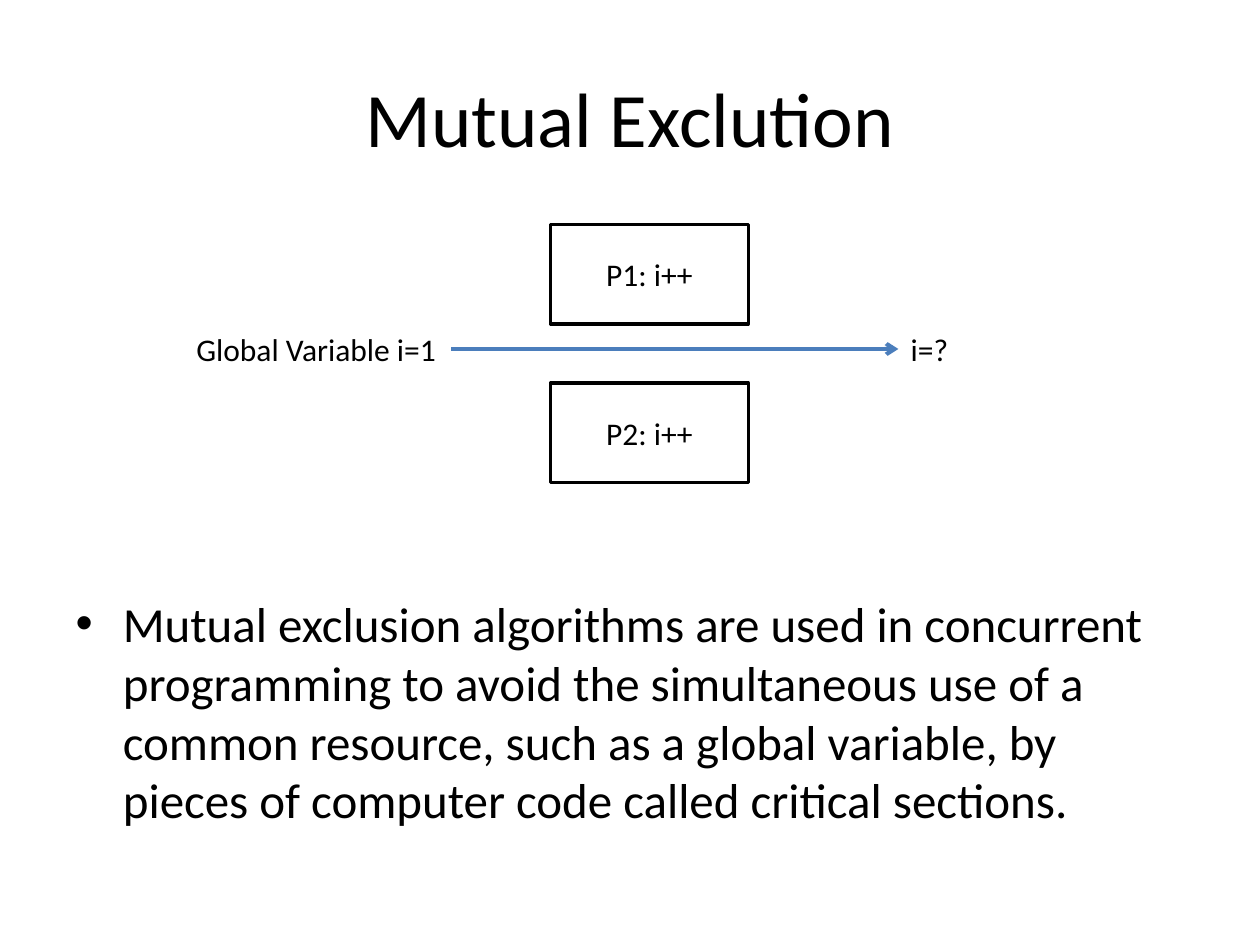
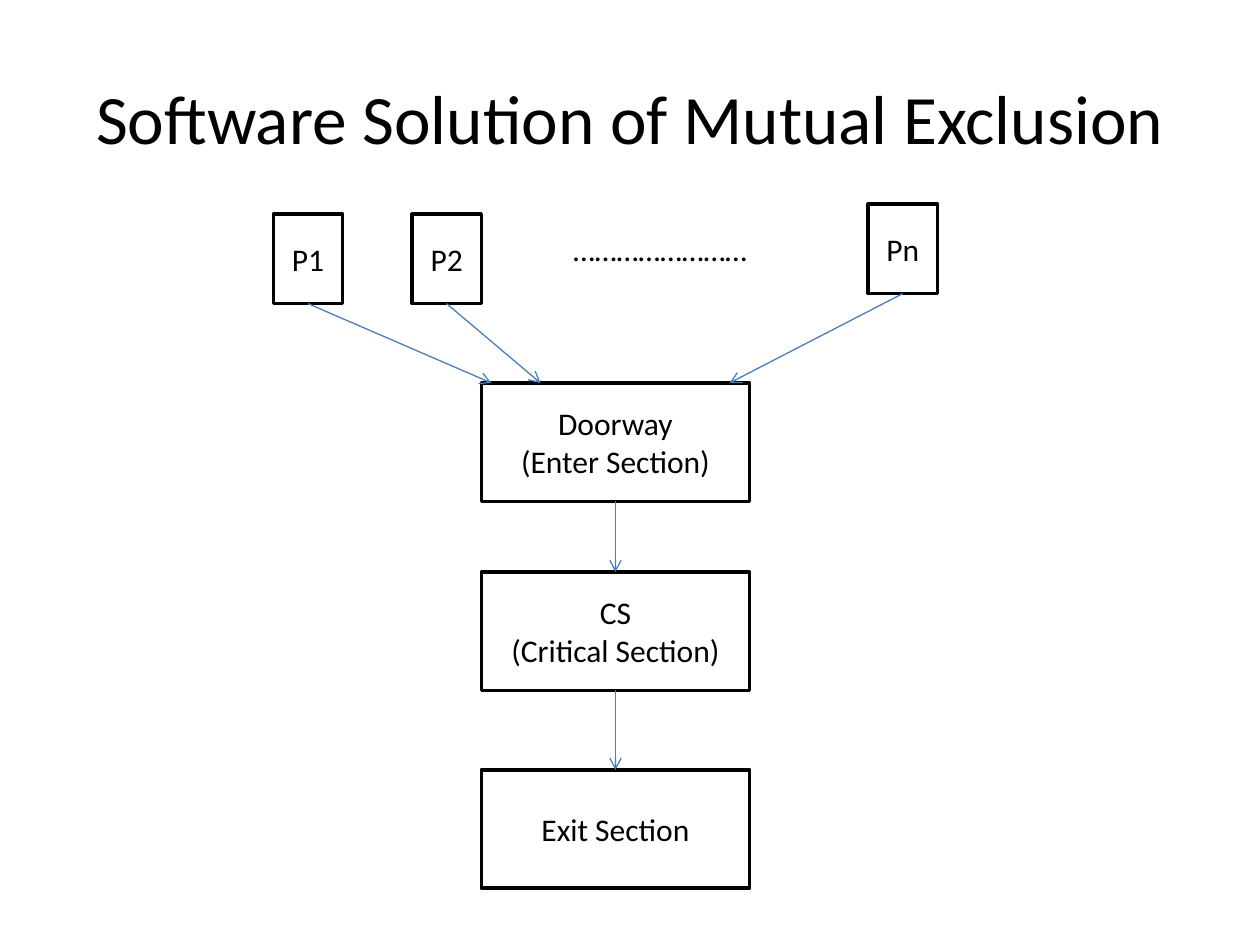
from lxml import etree
from pptx import Presentation
from pptx.dml.color import RGBColor
from pptx.enum.shapes import MSO_CONNECTOR, MSO_SHAPE
from pptx.enum.text import MSO_ANCHOR, PP_ALIGN
from pptx.oxml.ns import qn
from pptx.util import Inches, Pt

RECT = MSO_SHAPE.RECTANGLE
STRAIGHT = MSO_CONNECTOR.STRAIGHT
CENTER, LEFT = PP_ALIGN.CENTER, PP_ALIGN.LEFT
MIDDLE, TOP = MSO_ANCHOR.MIDDLE, MSO_ANCHOR.TOP

FONT = "Calibri"
COLORS = {"ink": "000000", "paper": "FFFFFF", "arrow": "4B7EBC"}
TITLE_BODY, TITLE_ONLY = 1, 5
SITE_TOP, SITE_BOTTOM = 0, 2


def rgb(name):
    return RGBColor.from_string(COLORS[name])


class Deck:
    """Shared style and the slide being built."""

    def __init__(self, prs):
        self.prs = prs
        self.slide = None

    def format(self, sp, size, align=LEFT, anchor=TOP):
        tf = sp.text_frame
        tf.word_wrap = True
        tf.vertical_anchor = anchor
        tf.paragraphs[0].space_before = Pt(0)
        for p in tf.paragraphs:
            p.alignment = align
            for r in p.runs:
                r.font.name = FONT
                r.font.size = Pt(size)
                r.font.color.rgb = rgb("ink")

    def place(self, sp, x, y, w, h):
        sp.left, sp.top, sp.width, sp.height = map(Inches, (x, y, w, h))

    def new_slide(self, title, layout, size=44):
        self.slide = self.prs.slides.add_slide(self.prs.slide_layouts[layout])
        sp = self.slide.shapes.title
        self.place(sp, 0.5, 0.3, 9, 1.25)
        sp.text_frame.text = title
        self.format(sp, size, CENTER, MIDDLE)

    def body(self, text, x, y, w, h):
        sp = self.slide.placeholders[1]
        self.place(sp, x, y, w, h)
        sp.text_frame.text = text
        self.format(sp, 28)

    def box(self, text, x, y, w, h):
        sp = self.slide.shapes.add_shape(RECT, *map(Inches, (x, y, w, h)))
        sp.shadow.inherit = False
        sp.fill.solid()
        sp.fill.fore_color.rgb = rgb("paper")
        sp.line.color.rgb = rgb("ink")
        sp.line.width = Pt(2)
        sp.text_frame.text = text
        self.format(sp, 18, CENTER, MIDDLE)
        return sp

    def label(self, text, x, y, w):
        sp = self.slide.shapes.add_textbox(*map(Inches, (x, y, w, 0.4)))
        sp.text_frame.text = text
        self.format(sp, 18)

    def arrow(self, start, end, width=0.75):
        """Draw an arrow between two points given in inches."""
        line = self.slide.shapes.add_connector(
            STRAIGHT, *map(Inches, (*start, *end)))
        line.line.color.rgb = rgb("arrow")
        line.line.width = Pt(width)
        ln = line.line._get_or_add_ln()
        etree.SubElement(ln, qn("a:tailEnd"), type="arrow")
        etree.SubElement(line._element.spPr, qn("a:effectLst"))
        return line


def mutual_exclusion(deck):
    deck.new_slide("Mutual Exclution", TITLE_BODY)
    deck.body("Mutual exclusion algorithms are used in concurrent programming "
              "to avoid the simultaneous use of a common resource, such as a "
              "global variable, by pieces of computer code called critical "
              "sections.", 0.5, 4.66, 9, 2.16)

    # Two processes change the same variable
    for name, y in (("P1", 1.78), ("P2", 3.04)):
        deck.box(f"{name}: i++", 4.37, y, 1.57, 0.79)
    deck.label("Global Variable i=1", 1.46, 2.57, 2.13)
    deck.arrow((3.58, 2.77), (7.13, 2.77), 2.25)
    deck.label("i=?", 7.13, 2.57, 0.87)


def software_solution(deck):
    deck.new_slide("Software Solution of Mutual Exclusion", TITLE_ONLY, 39.6)

    # Sections, passed from top to bottom
    door_y = 3.04
    sections = [deck.box(text, 3.82, y, 2.13, 0.94) for text, y in (
        ("Doorway\n(Enter Section)", door_y),
        ("CS\n(Critical Section)", 4.54),
        ("Exit Section", 6.11))]
    for upper, lower in zip(sections, sections[1:]):
        line = deck.arrow((0, 0), (0, 0))
        line.begin_connect(upper, SITE_BOTTOM)
        line.end_connect(lower, SITE_TOP)

    # Processes, each with an arrow to the doorway
    for name, x, y, door_x in (("P1", 2.17, 1.7, 3.9),
                               ("P2", 3.27, 1.7, 4.29),
                               ("Pn", 6.89, 1.62, 5.79)):
        process = deck.box(name, x, y, 0.55, 0.71)
        line = deck.arrow((x, y), (door_x, door_y))
        line.begin_connect(process, SITE_BOTTOM)
    deck.label("……………………", 4.45, 1.78, 1.81)


def main():
    prs = Presentation()
    prs.slide_width, prs.slide_height = Inches(10), Inches(7.5)
    deck = Deck(prs)
    mutual_exclusion(deck)
    software_solution(deck)
    prs.save("out.pptx")


if __name__ == "__main__":
    main()
